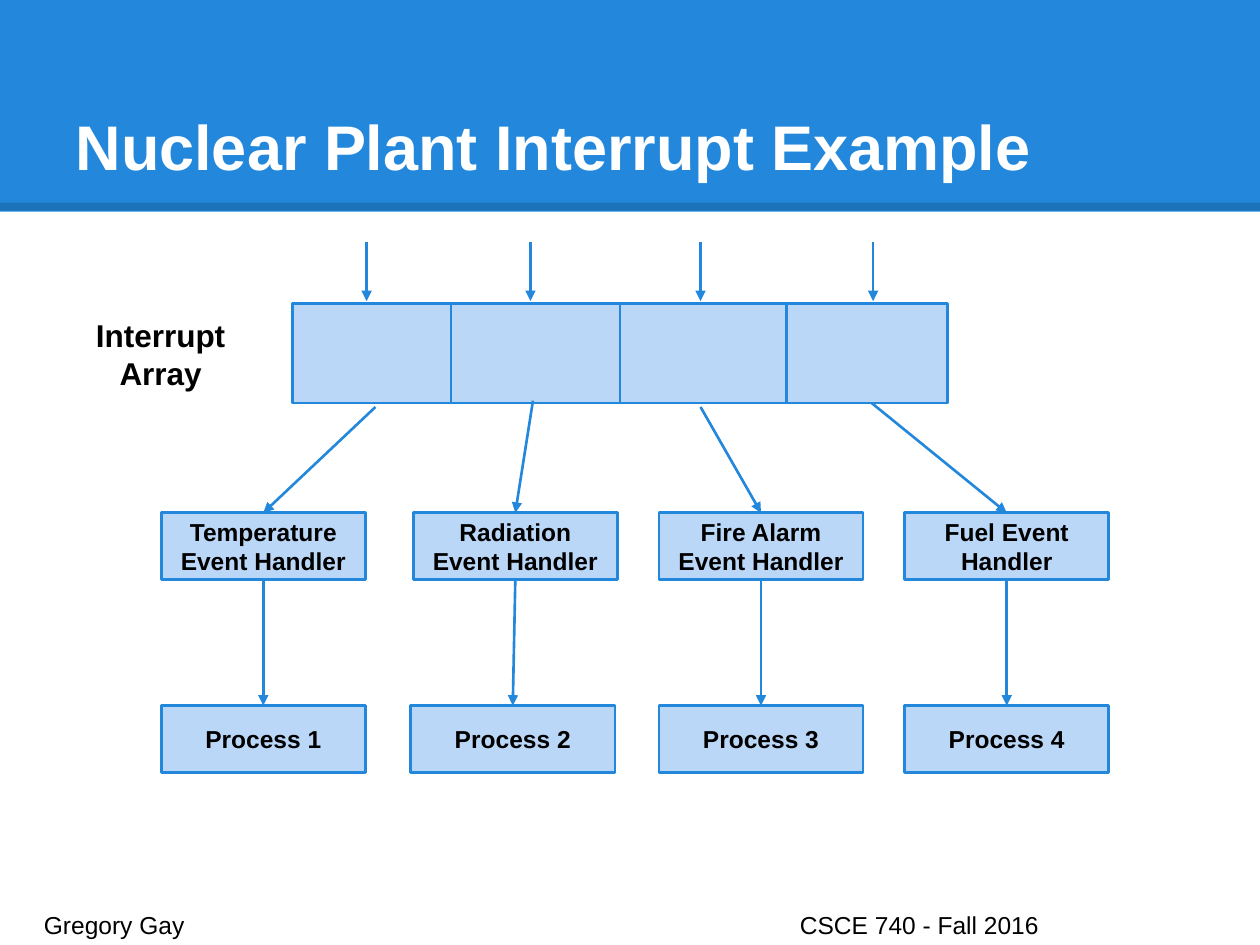
from lxml.etree import SubElement
from pptx import Presentation
from pptx.dml.color import RGBColor
from pptx.enum.shapes import MSO_CONNECTOR, MSO_SHAPE
from pptx.enum.text import MSO_ANCHOR, PP_ALIGN
from pptx.oxml.ns import qn
from pptx.util import Inches, Pt

BLUE = RGBColor(0x23, 0x88, 0xDB)
PALE_BLUE = RGBColor(0xBB, 0xD7, 0xF8)
BLACK = RGBColor(0, 0, 0)
WHITE = RGBColor(255, 255, 255)

ARRAY_TOP, ARRAY_BOTTOM = 2.41, 3.2
BOX_WIDTH, BOX_HEIGHT = 1.62, 0.53
HANDLER_TOP, PROCESS_TOP = 4.07, 5.6

deck = Presentation()
deck.slide_width, deck.slide_height = Inches(10), Inches(7.5)
slide = deck.slides.add_slide(deck.slide_layouts[5])
shapes = slide.shapes


def write(shape, text, size, align=PP_ALIGN.CENTER, color=BLACK, bold=True,
          anchor=MSO_ANCHOR.MIDDLE):
    frame = shape.text_frame
    frame.word_wrap = True
    frame.vertical_anchor = anchor
    frame.margin_left = frame.margin_right = Inches(0.1)
    frame.margin_top = frame.margin_bottom = Inches(0.1)
    frame.text = text
    para = frame.paragraphs[0]
    para.alignment = align
    font = para.runs[0].font
    font.name, font.size, font.bold = "Arial", Pt(size), bold
    font.color.rgb = color
    return para


def add_line(x1, y1, x2, y2, arrow=False, color=BLUE, width=1.5):
    line = shapes.add_connector(MSO_CONNECTOR.STRAIGHT, Inches(x1), Inches(y1),
                                Inches(x2), Inches(y2))
    line.line.color.rgb = color
    line.line.width = Pt(width)
    if arrow:
        SubElement(line.line._get_or_add_ln(), qn("a:tailEnd"), type="triangle")
    SubElement(line.element.spPr, qn("a:effectLst"))
    return line


# Title band with a translucent rule along its lower edge
band = shapes.add_shape(MSO_SHAPE.RECTANGLE, 0, 0, Inches(10), Inches(1.68))
band.shadow.inherit = False
band.fill.solid()
band.fill.fore_color.rgb = BLUE
band.line.fill.background()
rule = add_line(0, 1.64, 10, 1.64, color=BLACK, width=4.5)
SubElement(next(rule.element.iter(qn("a:srgbClr"))), qn("a:alpha"), val="15000")

title = shapes.title
title.element.getparent().append(title.element)  # in front of the band
title.left, title.top = Inches(0.5), Inches(0.3)
title.width, title.height = Inches(9), Inches(1.25)
write(title, "Nuclear Plant Interrupt Example", 36, PP_ALIGN.LEFT, WHITE,
      anchor=MSO_ANCHOR.BOTTOM)

# Boxes: the interrupt array, then a handler and a process per column
handlers = ["Temperature Event Handler", "Radiation Event Handler",
            "Fire Alarm Event Handler", "Fuel Event Handler"]
handler_lefts = [1.28, 3.28, 5.23, 7.18]
process_lefts = [1.28, 3.26, 5.23, 7.18]

boxes = [("", 2.32, ARRAY_TOP, 5.2, ARRAY_BOTTOM - ARRAY_TOP)]
for number, (handler, handler_left, process_left) in enumerate(
        zip(handlers, handler_lefts, process_lefts), start=1):
    boxes.append((handler, handler_left, HANDLER_TOP, BOX_WIDTH, BOX_HEIGHT))
    boxes.append((f"Process {number}", process_left, PROCESS_TOP, BOX_WIDTH, BOX_HEIGHT))

for text, left, top, width, height in boxes:
    box = shapes.add_shape(MSO_SHAPE.RECTANGLE, Inches(left), Inches(top),
                           Inches(width), Inches(height))
    box.shadow.inherit = False
    box.fill.solid()
    box.fill.fore_color.rgb = PALE_BLUE
    box.line.color.rgb = BLUE
    box.line.width = Pt(1.5)
    if text:
        write(box, text, 14)

for divider in (3.58, 4.92, 6.24):
    add_line(divider, ARRAY_TOP, divider, ARRAY_BOTTOM)

label = shapes.add_textbox(Inches(0.44), Inches(ARRAY_TOP), Inches(1.67), Inches(0.64))
write(label, "Interrupt Array", 18, anchor=MSO_ANCHOR.TOP)

# Arrows: signal to array, array to handler, handler to process
signals = [2.91, 4.21, 5.56, 6.93]
array_exits = [(2.98, 3.23), (4.23, 3.18), (5.56, 3.23), (6.92, 3.2)]
for signal, (exit_x, exit_y), handler_left, process_left in zip(
        signals, array_exits, handler_lefts, process_lefts):
    handler_middle = handler_left + BOX_WIDTH / 2
    process_middle = process_left + BOX_WIDTH / 2
    add_line(signal, 1.92, signal, 2.39, arrow=True)
    add_line(exit_x, exit_y, handler_middle, HANDLER_TOP, arrow=True)
    add_line(handler_middle, HANDLER_TOP + BOX_HEIGHT, process_middle, PROCESS_TOP,
             arrow=True)

# Footer with the course at a tab stop
footer = shapes.add_textbox(Inches(0.25), Inches(7.12), Inches(9.51), Inches(0.3))
para = write(footer, "Gregory Gay\tCSCE 740 - Fall 2016", 14, PP_ALIGN.LEFT,
             bold=False, anchor=MSO_ANCHOR.TOP)
tabs = SubElement(para._p.get_or_add_pPr(), qn("a:tabLst"))
SubElement(tabs, qn("a:tab"), pos=str(Inches(6)), algn="l")

deck.save("out.pptx")
